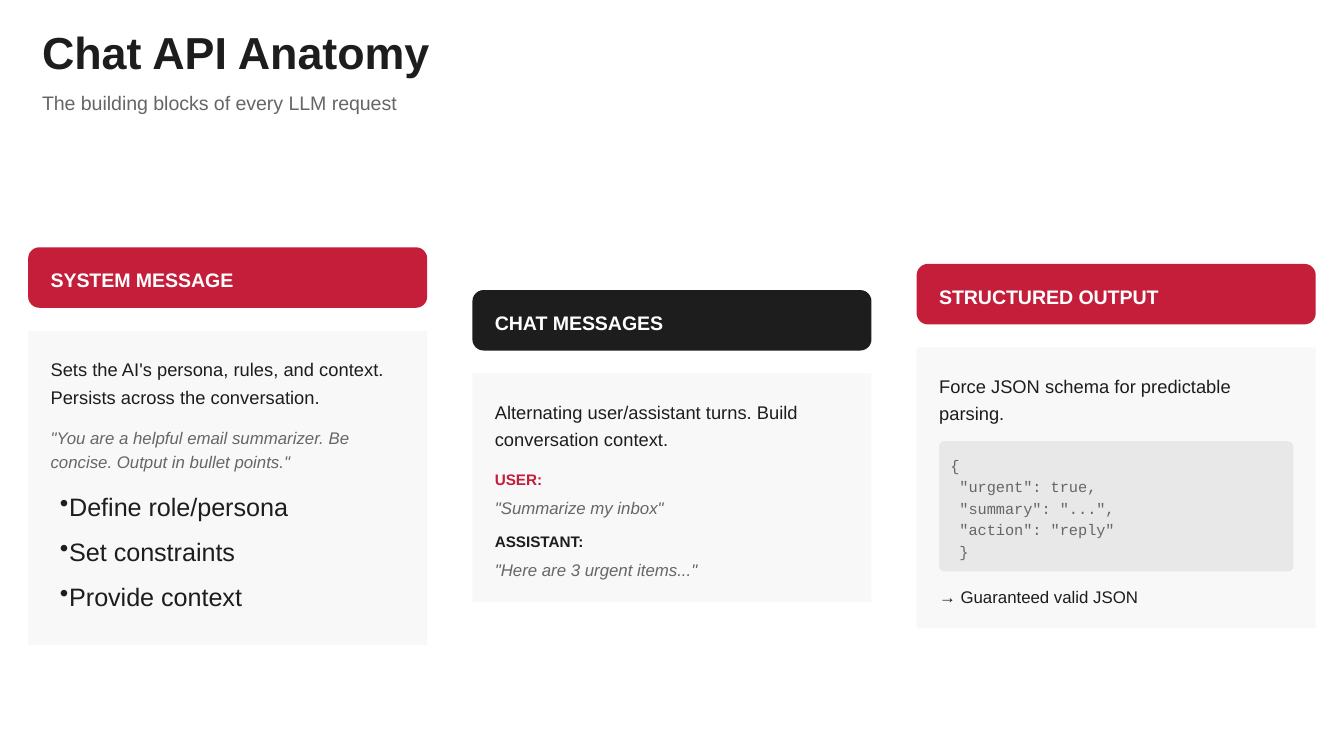
from dataclasses import dataclass

from lxml.etree import SubElement
from pptx import Presentation
from pptx.dml.color import RGBColor
from pptx.enum.shapes import MSO_SHAPE
from pptx.enum.text import MSO_ANCHOR, MSO_AUTO_SIZE, PP_ALIGN
from pptx.oxml.ns import qn
from pptx.slide import Slide
from pptx.text.text import TextFrame
from pptx.util import Pt

RED = RGBColor(0xC4, 0x1E, 0x3A)
INK = RGBColor(0x1D, 0x1D, 0x1D)
GREY = RGBColor(0x66, 0x66, 0x66)
WHITE = RGBColor(0xFF, 0xFF, 0xFF)
PALE = RGBColor(0xF8, 0xF8, 0xF8)
PANEL = RGBColor(0xE8, 0xE8, 0xE8)

# Column grid, in points
LEFT, STEP, WIDTH = 15.1, 238, 213.8
PAD, TEXT_W = 12, 193.7
HEAD_H, CARD_Y = 32.4, 44.7


@dataclass(frozen=True)
class Style:
    size: float
    line: float
    color: RGBColor
    bold: bool = False
    slant: bool = False
    font: str = "Arial"
    before: float = 0
    after: float = 0
    bullet: bool = False


TITLE = Style(24, 24, INK, bold=True)
SUB = Style(10.5, 14.7, GREY, before=4.5)
HEAD = Style(10.5, 14.7, WHITE, bold=True)
BODY = Style(9.8, 14.6, INK, after=9)
QUOTE = Style(9, 12.6, GREY, slant=True)
USER = Style(8.2, 11.6, RED, bold=True)
REPLY = Style(8.2, 11.6, INK, bold=True)
LIST = Style(13.5, 21, INK, after=3, bullet=True)
CODE = Style(8.2, 11.6, GREY, font="Courier New")
NOTE = Style(9, 12.6, INK)


@dataclass(frozen=True)
class Block:
    y: float  # below the top of the column
    height: float
    style: Style
    lines: tuple[str, ...]
    panel: bool = False


@dataclass(frozen=True)
class Column:
    head: str
    color: RGBColor
    top: float
    height: float  # of the card
    blocks: tuple[Block, ...]


COLUMNS = (
    Column("SYSTEM MESSAGE", RED, 132.5, 168.4, (
        Block(56.8, 29.5, BODY, (
            "Sets the AI's persona, rules, and context. "
            "Persists across the conversation.",)),
        Block(95, 25.2, QUOTE, (
            '"You are a helpful email summarizer. Be concise. '
            'Output in bullet points."',)),
        Block(126, 75, LIST, (
            "Define role/persona", "Set constraints", "Provide context")),
    )),
    Column("CHAT MESSAGES", INK, 155.4, 122.4, (
        Block(56.8, 29.5, BODY, (
            "Alternating user/assistant turns. Build conversation context.",)),
        Block(95, 11.6, USER, ("USER:",)),
        Block(109.6, 12.6, QUOTE, ('"Summarize my inbox"',)),
        Block(128.2, 11.6, REPLY, ("ASSISTANT:",)),
        Block(142.8, 12.6, QUOTE, ('"Here are 3 urgent items..."',)),
    )),
    Column("STRUCTURED OUTPUT", RED, 141.4, 150.5, (
        Block(56.8, 29.5, BODY, (
            "Force JSON schema for predictable parsing.",)),
        Block(95, 69.8, CODE, (
            "{", ' "urgent": true,', ' "summary": "...",',
            ' "action": "reply"', " }"), panel=True),
        Block(171.2, 12.6, NOTE, ("→ Guaranteed valid JSON",)),
    )),
)


def write(frame: TextFrame, lines: tuple[str, ...], style: Style) -> None:
    frame.word_wrap = True
    frame.auto_size = MSO_AUTO_SIZE.NONE
    frame.vertical_anchor = MSO_ANCHOR.TOP
    frame.margin_left = Pt(5 if style.bullet else 0)
    frame.margin_top = frame.margin_right = frame.margin_bottom = 0
    for i, line in enumerate(lines):
        para = frame.add_paragraph() if i else frame.paragraphs[0]
        para.alignment = PP_ALIGN.LEFT
        para.line_spacing = Pt(style.line)
        para.space_before = Pt(style.before)
        para.space_after = Pt(style.after)
        if style.bullet:
            props = para._p.get_or_add_pPr()
            props.set("marL", str(Pt(5)))
            props.set("indent", str(-Pt(5)))
            SubElement(props, qn("a:buChar")).set("char", "•")
        run = para.add_run()
        run.text = line
        font = run.font
        font.name, font.size = style.font, Pt(style.size)
        font.bold, font.italic = style.bold, style.slant
        font.color.rgb = style.color


def add_text(slide: Slide, x: float, y: float, w: float, h: float,
             lines: tuple[str, ...], style: Style) -> None:
    box = slide.shapes.add_textbox(Pt(x), Pt(y), Pt(w), Pt(h))
    write(box.text_frame, lines, style)


def add_box(slide: Slide, x: float, y: float, w: float, h: float,
            color: RGBColor, round_by: float = 0) -> None:
    kind = MSO_SHAPE.ROUNDED_RECTANGLE if round_by else MSO_SHAPE.RECTANGLE
    box = slide.shapes.add_shape(kind, Pt(x), Pt(y), Pt(w), Pt(h))
    if round_by:
        box.adjustments[0] = round_by / h
    box.shadow.inherit = False
    box.fill.solid()
    box.fill.fore_color.rgb = color
    box.line.fill.background()


def add_column(slide: Slide, x: float, col: Column) -> None:
    inner = x + PAD
    add_box(slide, x, col.top, WIDTH, HEAD_H, col.color, round_by=6)
    add_text(slide, inner, col.top + 9, TEXT_W, 14.7, (col.head,), HEAD)
    add_box(slide, x, col.top + CARD_Y, WIDTH, col.height, PALE)
    for block in col.blocks:
        y = col.top + block.y
        inset = 0
        if block.panel:
            add_box(slide, inner, y, WIDTH - 2 * PAD, block.height,
                    PANEL, round_by=3)
            inset = 6
        add_text(slide, inner + inset, y + inset, TEXT_W - 2 * inset,
                 block.height - 2 * inset, block.lines, block.style)


def main() -> None:
    deck = Presentation()
    deck.slide_width, deck.slide_height = Pt(720), Pt(405)
    slide = deck.slides.add_slide(deck.slide_layouts[5])

    # Title and subtitle
    title = slide.shapes.title
    title.left, title.top = Pt(22.5), Pt(18)
    title.width, title.height = Pt(345), Pt(24)
    write(title.text_frame, ("Chat API Anatomy",), TITLE)
    add_text(slide, 22.5, 46.5, 688, 14.7,
             ("The building blocks of every LLM request",), SUB)

    # Three columns
    for i, col in enumerate(COLUMNS):
        add_column(slide, LEFT + i * STEP, col)

    deck.save("out.pptx")


if __name__ == "__main__":
    main()
